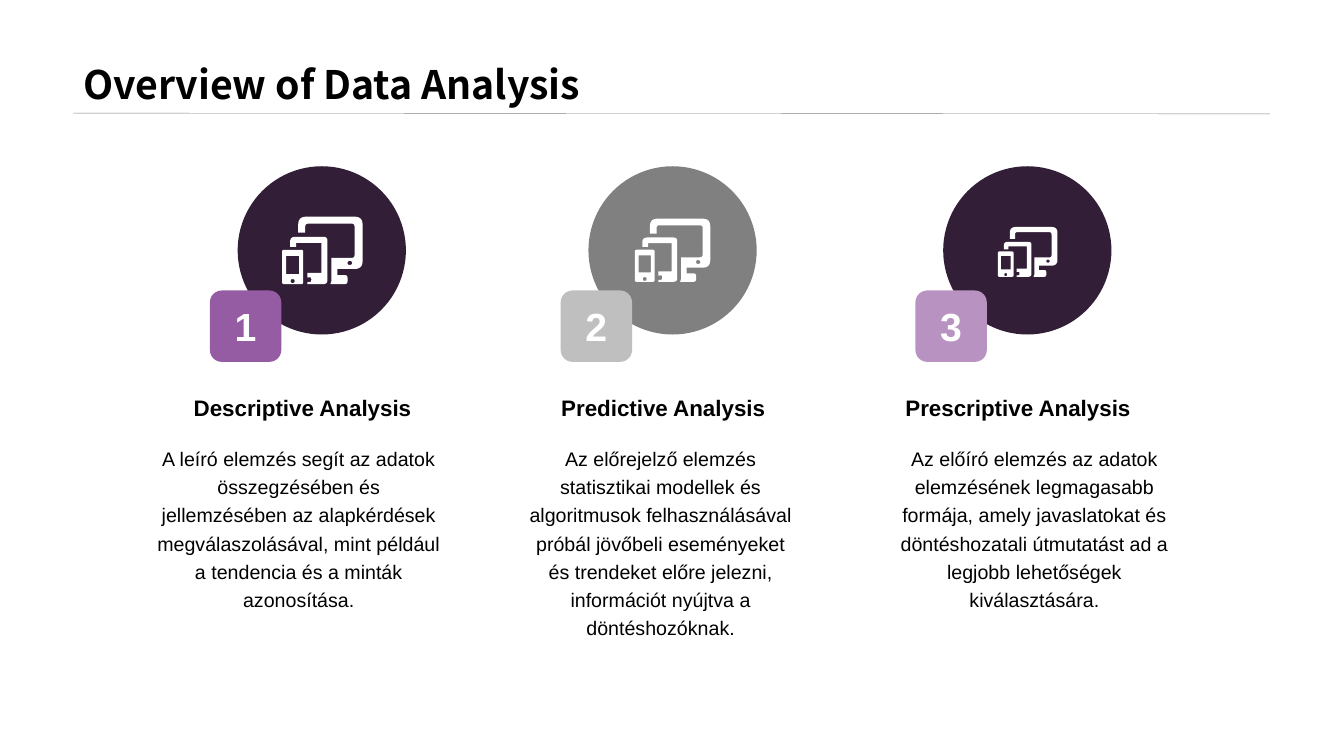
import math

from lxml import etree
from pptx import Presentation
from pptx.dml.color import RGBColor
from pptx.enum.shapes import MSO_CONNECTOR, MSO_SHAPE
from pptx.enum.text import MSO_ANCHOR, PP_ALIGN
from pptx.oxml.ns import qn
from pptx.util import Cm, Pt

LEFT, CENTER = PP_ALIGN.LEFT, PP_ALIGN.CENTER
TOP, MIDDLE, BOTTOM = MSO_ANCHOR.TOP, MSO_ANCHOR.MIDDLE, MSO_ANCHOR.BOTTOM
OVAL, ROUNDED = MSO_SHAPE.OVAL, MSO_SHAPE.ROUNDED_RECTANGLE
STRAIGHT = MSO_CONNECTOR.STRAIGHT
color = RGBColor.from_string

# Icon outlines: corners as (x, y, corner radius) on a grid 80 units wide
ICON_WIDTH = 80
FINENESS = 100
CORNER_STEPS = 6
DEVICES = [
    # phone button, monitor button, phone screen, phone
    [(8.5, 62, 2), (12.5, 62, 2), (12.5, 66, 2), (8.5, 66, 2)],
    [(65, 44, 2), (69.5, 44, 2), (69.5, 48, 2), (65, 48, 2)],
    [(4, 39, 0), (17, 39, 0), (17, 57, 0), (4, 57, 0)],
    [(0, 33, 2), (21, 33, 2), (21, 67, 2), (0, 67, 2)],
    # tablet
    [(8, 20, 5), (45, 20, 4), (45, 67, 4), (25, 67, 0), (25, 65, 0),
     (29, 65, 2), (29, 60, 2), (25, 60.5, 0), (25, 56, 0), (39, 56, 0),
     (39, 26, 0), (14, 26, 0), (14, 30, 0), (8, 30, 0)],
    # monitor
    [(16, 0, 8), (80, 0, 8), (80, 52, 8), (55, 52, 0), (55, 58, 0),
     (65, 58, 3), (65, 67, 3), (48, 67, 0), (49, 64, 0), (49, 41, 0),
     (72, 41, 3), (72, 7, 3), (23, 7, 3), (23, 16, 0), (16, 16, 0)],
]

# circle left, circle fill, badge fill, heading left, heading,
# body left, body width, body height, body, icon left, icon top, icon width
COLUMNS = [
    (5.99, "321F37", "955CA3", 4.27, "Descriptive Analysis", 3.63, 7.8, 4.52,
     "A leíró elemzés segít az adatok összegzésében és jellemzésében az "
     "alapkérdések megválaszolásával, mint például a tendencia és a minták "
     "azonosítása.", 7.11, 5.46, 2.03),
    (14.83, "808080", "BFBFBF", 13.36, "Predictive Analysis", 12.98, 7.34, 5.23,
     "Az előrejelző elemzés statisztikai modellek és algoritmusok "
     "felhasználásával próbál jövőbeli eseményeket és trendeket előre "
     "jelezni, információt nyújtva a döntéshozóknak.", 16, 5.51, 1.9),
    (23.77, "321F37", "B893C2", 22.3, "Prescriptive Analysis", 22.3, 7.54, 4.52,
     "Az előíró elemzés az adatok elemzésének legmagasabb formája, amely "
     "javaslatokat és döntéshozatali útmutatást ad a legjobb lehetőségek "
     "kiválasztására.", 25.15, 5.72, 1.5),
]


def write_text(shape, text, size, hex_color="000000", bold=True, font="Arial",
               alignment=CENTER, anchor=MIDDLE, line_spacing=1.0):
    frame = shape.text_frame
    frame.word_wrap = True
    frame.vertical_anchor = anchor
    frame.text = text
    paragraph = frame.paragraphs[0]
    paragraph.alignment = alignment
    paragraph.line_spacing = line_spacing
    run_font = paragraph.runs[0].font
    run_font.name = font
    run_font.size = Pt(size)
    run_font.bold = bold
    run_font.color.rgb = color(hex_color)


def round_corners(corners):
    """Return the outline's points, each corner drawn as a quadratic curve."""
    points = []
    for index, (x, y, radius) in enumerate(corners):
        if not radius:
            points.append((x * FINENESS, y * FINENESS))
            continue
        ends = []
        for neighbour in (corners[index - 1], corners[(index + 1) % len(corners)]):
            dx, dy = neighbour[0] - x, neighbour[1] - y
            share = radius / math.hypot(dx, dy)
            ends.append((x + dx * share, y + dy * share))
        (x1, y1), (x2, y2) = ends
        for step in range(CORNER_STEPS + 1):
            t = step / CORNER_STEPS
            a, b, c = (1 - t) ** 2, 2 * t * (1 - t), t ** 2
            points.append(((a * x1 + b * x + c * x2) * FINENESS,
                           (a * y1 + b * y + c * y2) * FINENESS))
    return points


presentation = Presentation()
presentation.slide_width = Cm(33.87)
presentation.slide_height = Cm(19.05)
slide = presentation.slides.add_slide(presentation.slide_layouts[6])
shapes = slide.shapes

rule = shapes.add_connector(STRAIGHT, Cm(1.85), Cm(2.85), Cm(32), Cm(2.87))
rule.line.color.rgb = color("808080")
rule.line.width = Pt(0.25)
etree.SubElement(rule._element.spPr, qn("a:effectLst"))

title = shapes.add_textbox(Cm(1.85), Cm(0), Cm(30.15), Cm(2.85))
write_text(title, "Overview of Data Analysis", 28, font="Noto Sans CJK SC",
           alignment=LEFT, anchor=BOTTOM, line_spacing=0.9)

for number, column in enumerate(COLUMNS, start=1):
    (circle_left, circle_fill, badge_fill, heading_left, heading_text, body_left,
     body_width, body_height, body_text, icon_left, icon_top, icon_width) = column

    circle = shapes.add_shape(OVAL, Cm(circle_left), Cm(4.19), Cm(4.24), Cm(4.24))
    badge = shapes.add_shape(ROUNDED, Cm(circle_left - 0.7), Cm(7.32), Cm(1.8), Cm(1.8))
    write_text(badge, str(number), 28, "FFFFFF")

    body = shapes.add_textbox(Cm(body_left), Cm(11.02), Cm(body_width), Cm(body_height))
    write_text(body, body_text, 14, bold=False, anchor=TOP, line_spacing=1.2)
    heading = shapes.add_textbox(Cm(heading_left), Cm(9.68), Cm(6.71), Cm(1.17))
    write_text(heading, heading_text, 16)

    outlines = [round_corners(corners) for corners in DEVICES]
    builder = shapes.build_freeform(*outlines[0][0],
                                    scale=Cm(icon_width) / (ICON_WIDTH * FINENESS))
    for outline in outlines:
        builder.move_to(*outline[0])
        builder.add_line_segments(outline[1:], close=True)
    icon = builder.convert_to_shape(Cm(icon_left), Cm(icon_top))

    for shape, fill in ((circle, circle_fill), (badge, badge_fill), (icon, "FFFFFF")):
        shape.shadow.inherit = False
        shape.fill.solid()
        shape.fill.fore_color.rgb = color(fill)
        shape.line.fill.background()

presentation.save("out.pptx")
